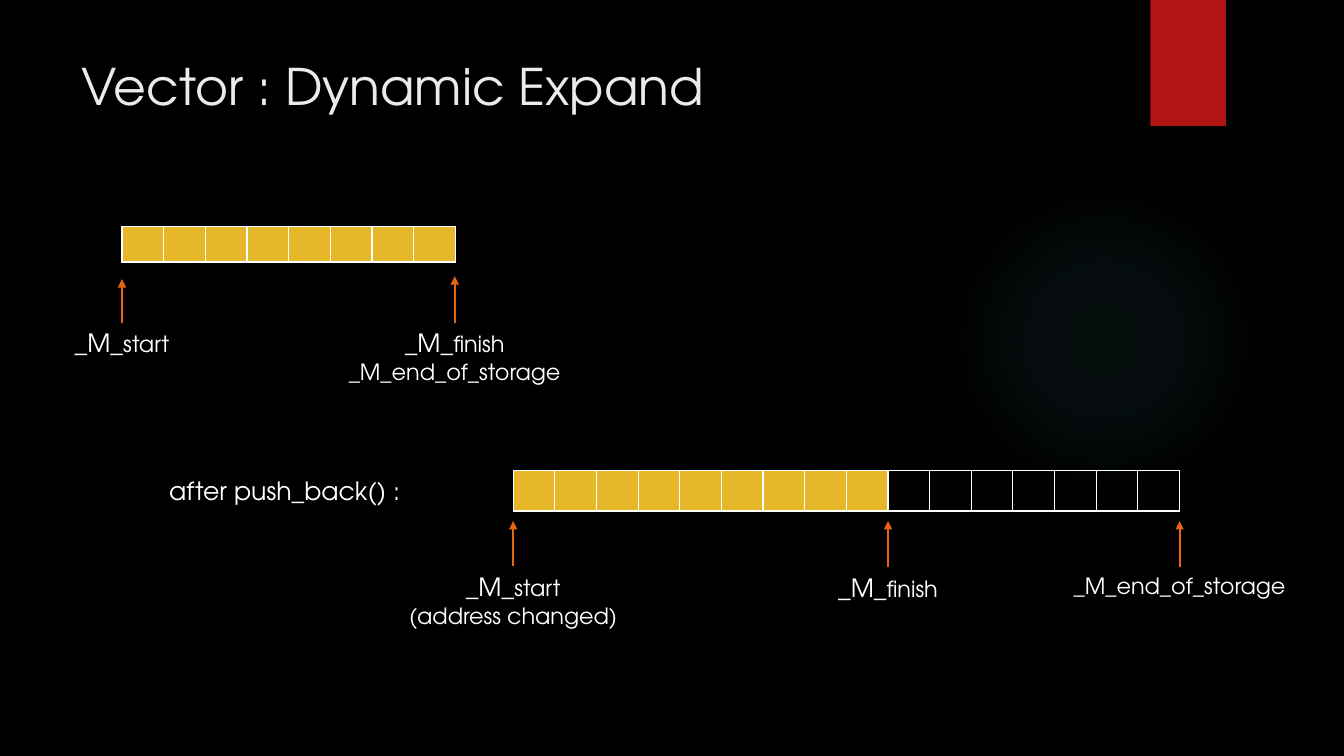
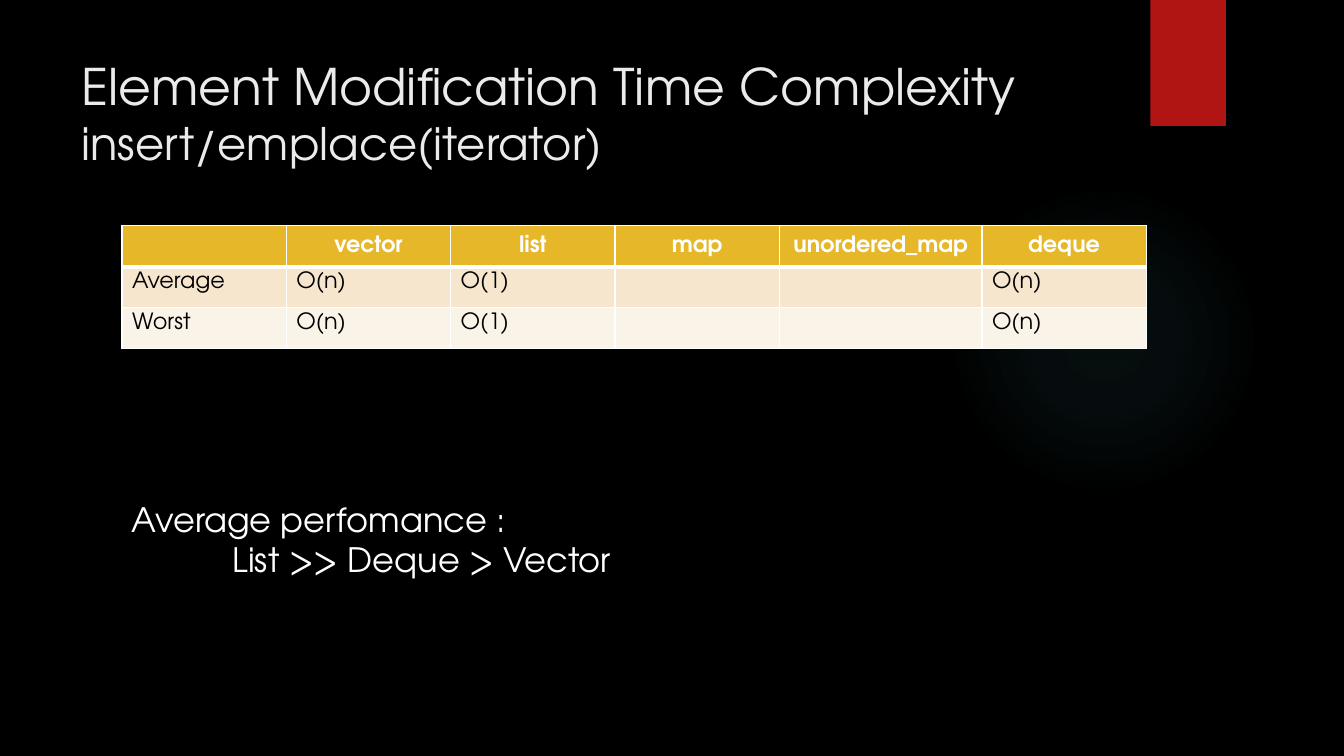
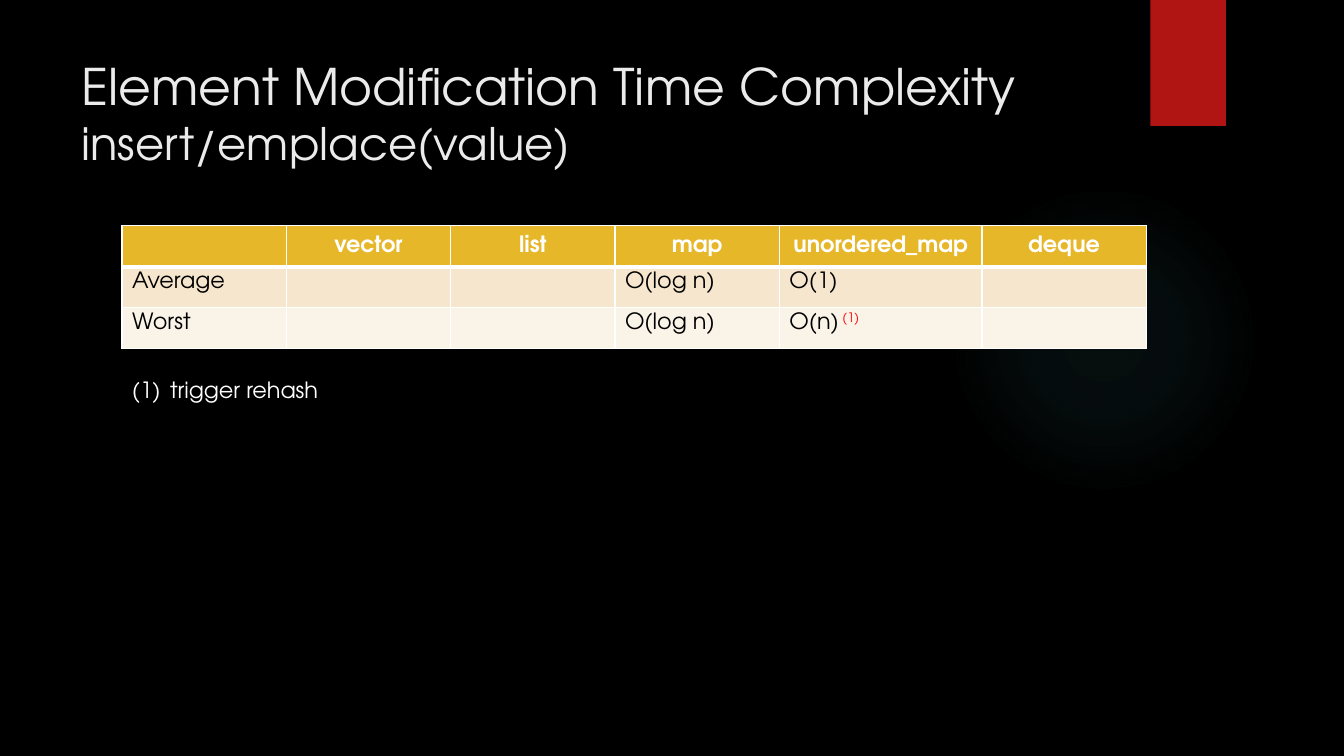
from dataclasses import dataclass
from lxml import etree
from pptx import Presentation
from pptx.dml.color import RGBColor
from pptx.enum.shapes import MSO_CONNECTOR, MSO_SHAPE
from pptx.enum.text import MSO_ANCHOR, PP_ALIGN
from pptx.oxml import parse_xml
from pptx.oxml.ns import qn
from pptx.util import Inches, Pt

LINE = MSO_CONNECTOR.STRAIGHT
RECT, OVAL = MSO_SHAPE.RECTANGLE, MSO_SHAPE.OVAL
LEFT, MID = PP_ALIGN.LEFT, PP_ALIGN.CENTER
TOP, HALF, BASE = MSO_ANCHOR.TOP, MSO_ANCHOR.MIDDLE, MSO_ANCHOR.BOTTOM
NS = "http://schemas.openxmlformats.org/drawingml/2006/main"


@dataclass(frozen=True)
class Theme:
    """Colours, font and type sizes of the deck."""
    font: str = "TeX Gyre Adventor"
    back: str = "000000"
    white: str = "FFFFFF"
    title: str = "EBEBEB"
    band: str = "B01513"
    glow: str = "50B9C1"
    gold: str = "E6B729"
    arrow: str = "EA6312"
    mark: str = "FF0000"
    rows: tuple = ("E6B729", "F5E6CD", "FAF3E8")
    head: int = 36
    sub: int = 32
    big: int = 24
    mid: int = 18
    small: int = 16


T = Theme()


def rgb(code):
    """Turn a hex code into a colour."""
    return RGBColor.from_string(code)


def write(frame, lines, size=T.small, color=T.white, bold=False,
          align=LEFT, anchor=TOP, wrap=True):
    """Fill a text frame with lines, each a list of (text, overrides) runs."""
    frame.word_wrap = wrap
    frame.vertical_anchor = anchor
    for i, line in enumerate(lines):
        para = frame.paragraphs[0] if i == 0 else frame.add_paragraph()
        para.alignment = align
        for words, own in line:
            run = para.add_run()
            run.text = words
            run.font.name = T.font
            run.font.bold = bold
            run.font.size = Pt(own.get("size", size))
            run.font.color.rgb = rgb(own.get("color", color))
            if "raise_by" in own:
                run.font._element.set("baseline", str(own["raise_by"] * 1000))


def label(slide, box, lines, **style):
    """Add a text box and return its text frame."""
    frame = slide.shapes.add_textbox(*map(Inches, box)).text_frame
    write(frame, lines, **style)
    return frame


def indent(para, left, hang=0):
    """Set the left margin and first-line offset of a paragraph."""
    props = para._p.get_or_add_pPr()
    props.set("marL", str(Inches(left)))
    props.set("indent", str(Inches(hang)))
    return props


def block(slide, kind, box, color):
    """Add a plain filled shape without outline."""
    shape = slide.shapes.add_shape(kind, *map(Inches, box))
    shape.shadow.inherit = False
    shape.fill.solid()
    shape.fill.fore_color.rgb = rgb(color)
    shape.line.fill.background()
    return shape


def page(deck, lines):
    """Add a slide with the glow, the red band and the title."""
    slide = deck.slides.add_slide(deck.slide_layouts[6])
    glow = block(slide, OVAL, (9.41, 1.83, 3.08, 3.08), T.glow)
    stops = "".join(
        f'<a:gs pos="{pos}000"><a:srgbClr val="{T.glow}">'
        f'<a:alpha val="{alpha}000"/></a:srgbClr></a:gs>'
        for pos, alpha in ((0, 7), (36, 6), (69, 0)))
    fade = parse_xml(
        f'<a:gradFill xmlns:a="{NS}"><a:gsLst>{stops}</a:gsLst>'
        '<a:path path="circle"><a:fillToRect l="50000" t="50000" '
        'r="50000" b="50000"/></a:path></a:gradFill>')
    props = glow._element.spPr
    props.replace(props.find(qn("a:solidFill")), fade)
    block(slide, RECT, (11.41, 0, 0.75, 1.25), T.band)
    label(slide, (0.71, 0.5, 10.29, 1.53), lines, size=T.head, color=T.title)
    return slide


def paint(cell, color, top=1, base=1):
    """Give a cell its white borders and its fill."""
    props = cell._tc.get_or_add_tcPr()
    for side, width in (("L", 1), ("R", 1), ("T", top), ("B", base)):
        props.append(parse_xml(
            f'<a:ln{side} xmlns:a="{NS}" w="{Pt(width)}"><a:solidFill>'
            f'<a:srgbClr val="{T.white}"/></a:solidFill></a:ln{side}>'))
    if color:
        cell.fill.solid()
        cell.fill.fore_color.rgb = rgb(color)
    else:
        cell.fill.background()


def table(slide, box, rows, cols):
    """Add a table without style bands."""
    grid = slide.shapes.add_table(rows, cols, *map(Inches, box)).table
    grid.first_row = grid.horz_banding = False
    return grid


def array(slide, box, count, used):
    """Draw a row of memory cells, the first ones filled."""
    grid = table(slide, box, 1, count)
    for i in range(count):
        cell = grid.cell(0, i)
        cell.margin_top = cell.margin_bottom = 0
        paint(cell, T.gold if i < used else None)


def pointer(slide, x, tip, top, size, lines):
    """Draw an upward arrow with a label centred below it."""
    wide, high = size
    label(slide, (x - wide / 2, top, wide, high), lines, align=MID, wrap=False)
    arrow = slide.shapes.add_connector(
        LINE, *map(Inches, (x, top, x, tip)))
    arrow.line.color.rgb = rgb(T.arrow)
    arrow.line.width = Pt(1.5)
    etree.SubElement(arrow.line._get_or_add_ln(), qn("a:tailEnd"),
                     type="triangle")
    etree.SubElement(arrow._element.spPr, qn("a:effectLst"))


def costs(slide, box, average, worst):
    """Draw the complexity table for the five containers."""
    heads = ["", "vector", "list", "map", "unordered_map", "deque"]
    rows = (heads, ["Average", *average], ["Worst", *worst])
    grid = table(slide, box, len(rows), len(heads))
    for i, name in enumerate(heads):
        grid.columns[i].width = Inches(2.01 if name == "unordered_map" else 1.63)
    for r, row in enumerate(rows):
        head = r == 0
        for c, item in enumerate(row):
            cell = grid.cell(r, c)
            paint(cell, T.rows[r], top=3 if r == 1 else 1, base=3 if head else 1)
            if item:
                runs = [(item, {})] if isinstance(item, str) else item
                write(cell.text_frame, [runs], bold=head,
                      color=T.white if head else T.back,
                      align=MID if head else LEFT)
            cell.vertical_anchor = HALF if head else TOP


def member(name):
    """Return the runs of a member name with its larger prefix."""
    return [("_M_", {"size": T.mid}), (name, {})]


def expand(deck):
    """Build the slide on how a vector grows."""
    slide = page(deck, [[("Vector : Dynamic Expand", {})]])
    store = [("_M_end_of_storage", {})]
    array(slide, (1.21, 2.25, 3.31, 0.35), 8, 8)
    pointer(slide, 1.21, 2.77, 3.2, (1.15, 0.4), [member("start")])
    pointer(slide, 4.51, 2.74, 3.2, (2.34, 0.67), [member("finish"), store])

    left, wide, count, used = 5.09, 6.61, 16, 9
    array(slide, (left, 4.67, wide, 0.4), count, used)
    pointer(slide, left, 5.17, 5.62, (2.3, 0.67),
            [member("start"), [("(address changed)", {})]])
    pointer(slide, left + wide * used / count, 5.17, 5.63, (1.21, 0.4),
            [member("finish")])
    pointer(slide, left + wide, 5.17, 5.63, (2.34, 0.37), [store])
    label(slide, (1.58, 4.67, 2.51, 0.4), [[("after push_back() :", {})]],
          size=T.mid, wrap=False)


def change(deck, kind, average, worst):
    """Build a slide on the cost of one kind of insertion."""
    slide = page(deck, [[("Element Modification Time Complexity", {})],
                        [(f"insert/emplace({kind})", {"size": T.sub})]])
    costs(slide, (1.21, 2.24, 10.16, 1.22), average, worst)
    return slide


def by_place(deck):
    """Build the slide on insertion at an iterator."""
    cost = ["O(n)", "O(1)", "", "", "O(n)"]
    slide = change(deck, "iterator", cost, cost)
    frame = label(slide, (1.21, 3.68, 4.99, 2.12),
                  [[("Average perfomance :", {})],
                   [("List >> Deque > Vector", {})]],
                  size=T.big, anchor=BASE)
    indent(frame.paragraphs[1], 1)


def by_value(deck):
    """Build the slide on insertion by value."""
    mark = {"color": T.mark, "raise_by": 30}
    slide = change(deck, "value", ["", "", "O(log n)", "O(1)", ""],
                   ["", "", "O(log n)", [("O(n)", {}), (" (1)", mark)], ""])
    frame = label(slide, (1.21, 3.68, 2.07, 0.98), [[("trigger rehash", {})]],
                  wrap=False)
    props = indent(frame.paragraphs[0], 0.38, -0.38)
    etree.SubElement(props, qn("a:buFont"), typeface=T.font)
    etree.SubElement(props, qn("a:buAutoNum"), type="arabicParenBoth")


def main():
    """Build and save the deck."""
    deck = Presentation()
    deck.slide_width, deck.slide_height = Inches(13.33), Inches(7.5)
    back = deck.slide_master.background.fill
    back.solid()
    back.fore_color.rgb = rgb(T.back)
    for build in (expand, by_place, by_value):
        build(deck)
    deck.save("out.pptx")


main()
